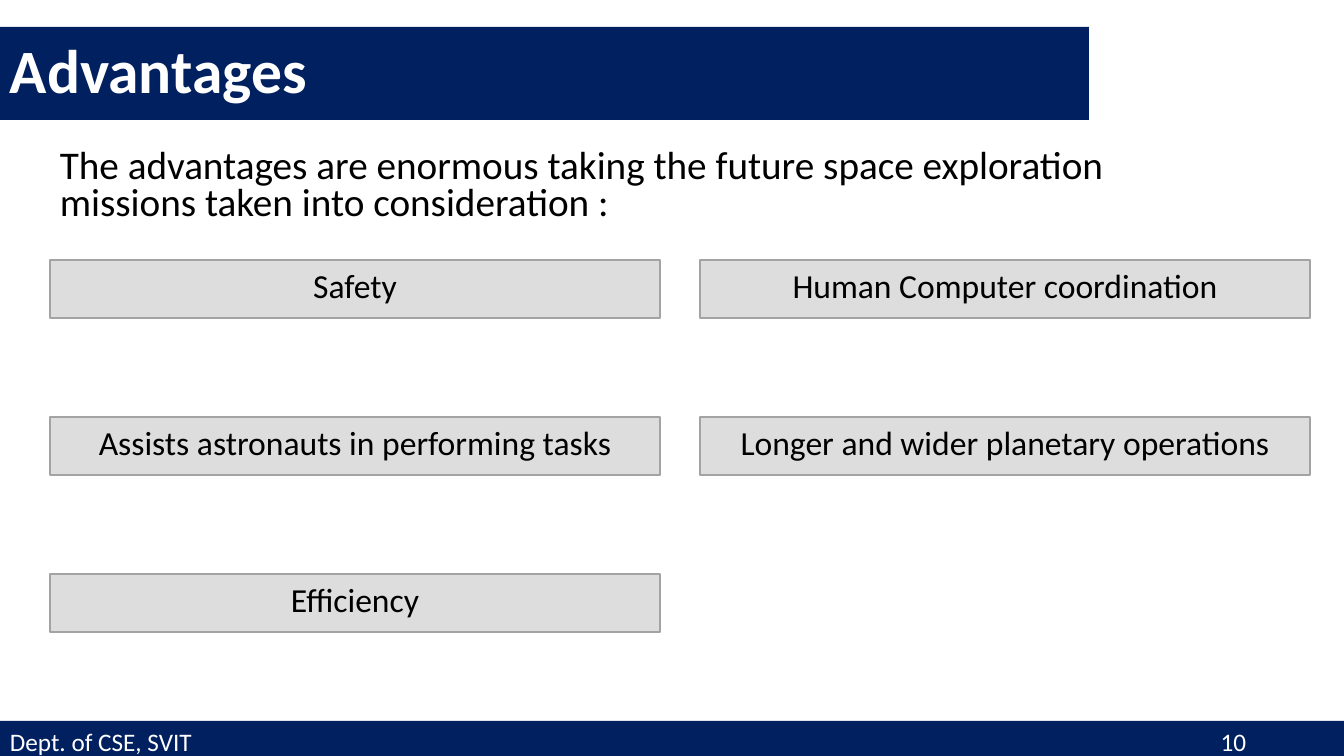
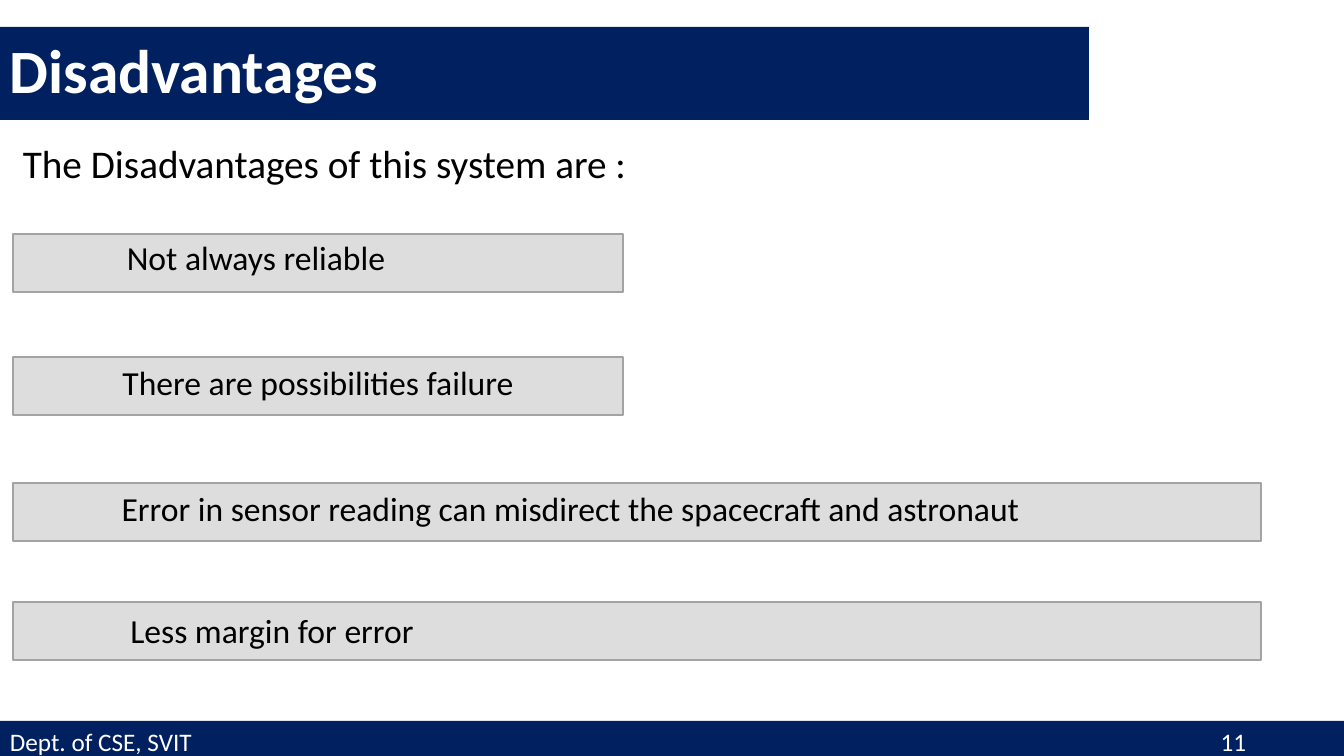
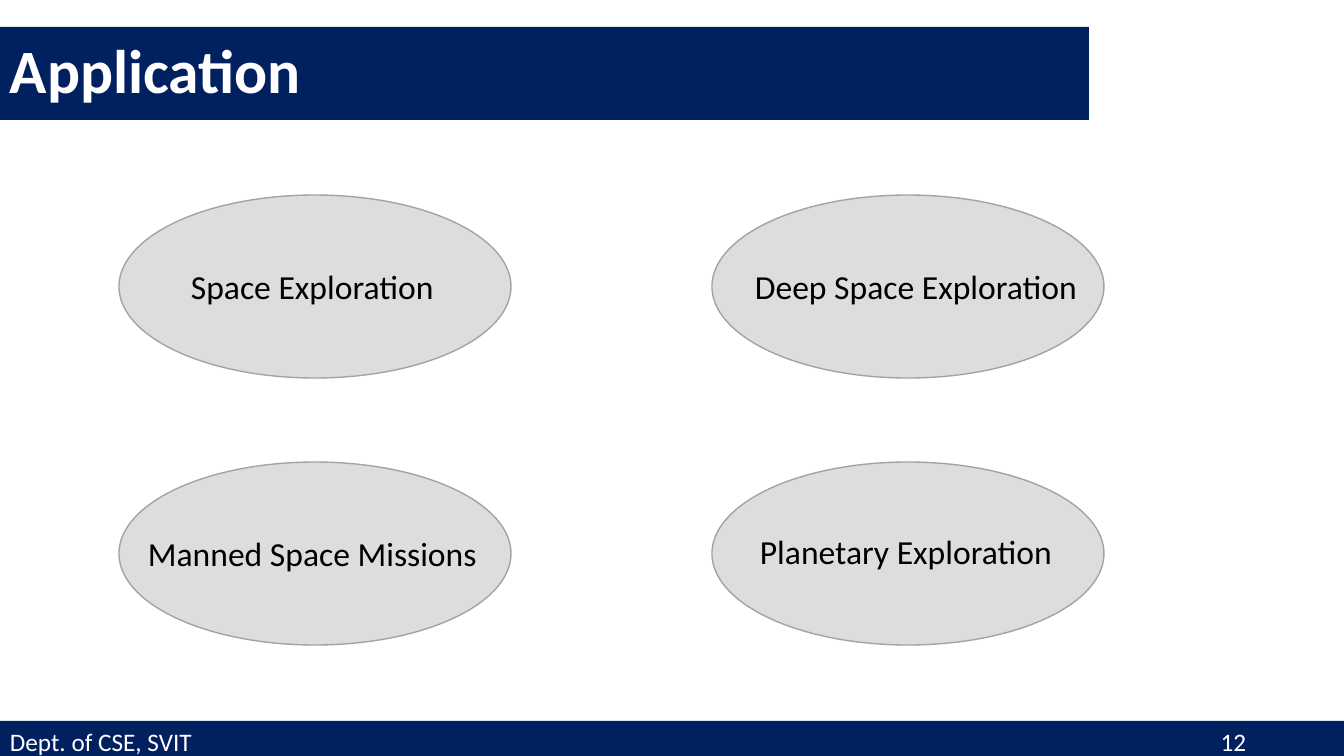
"""Builds three slides on the advantages, disadvantages and application of a space system."""
import pptx
import pptx.util
import pptx.dml.color
import pptx.enum.shapes
import pptx.enum.text

PX = 12192000 / 1344
HUES = {"navy": "002060", "grey": "DDDDDD", "edge": "A3A3A3", "white": "FFFFFF", "black": "000000"}
FONT = "Calibri"
FORM = pptx.enum.shapes.MSO_SHAPE
SIDE = pptx.enum.text.PP_ALIGN
MID = pptx.enum.text.MSO_ANCHOR.MIDDLE
TOP = pptx.enum.text.MSO_ANCHOR.TOP


def draw(slide, form, area, fill, edge=None):
    shape = slide.shapes.add_shape(form, *[round(n * PX) for n in area])
    shape.shadow.inherit = False
    shape.fill.solid()
    shape.fill.fore_color.rgb = pptx.dml.color.RGBColor.from_string(HUES[fill])
    if edge:
        shape.line.color.rgb = pptx.dml.color.RGBColor.from_string(HUES[edge])
        shape.line.width = pptx.util.Pt(1)
    else:
        shape.line.fill.background()
    return shape


def write(slide, area, text, size=24, hue="black", align=SIDE.LEFT, space=1.0, bold=False, anchor=TOP, shape=None):
    if shape is None:
        shape = slide.shapes.add_textbox(*[round(n * PX) for n in area])
    frame = shape.text_frame
    frame.word_wrap = True
    frame.vertical_anchor = anchor
    para = frame.paragraphs[0]
    para.text = text
    para.alignment = align
    para.line_spacing = space
    para.font.name = FONT
    para.font.size = pptx.util.Pt(size)
    para.font.bold = bold
    para.font.color.rgb = pptx.dml.color.RGBColor.from_string(HUES[hue])


deck = pptx.Presentation()
deck.slide_width = round(1344 * PX)
deck.slide_height = round(756 * PX)

pages = []
for page, title in enumerate(["Advantages", "Disadvantages", "Application"], 10):
    slide = deck.slides.add_slide(deck.slide_layouts[6])
    band = draw(slide, FORM.RECTANGLE, (0, 27, 1089, 93), "navy")
    write(slide, None, title, 44, "white", space=0.9, bold=True, anchor=MID, shape=band)
    foot = draw(slide, FORM.RECTANGLE, (0, 721, 1344, 40), "navy")
    write(slide, None, "Dept. of CSE, SVIT", 18, "white", shape=foot)
    write(slide, (1156, 721, 100, 40), str(page), 18, "white", SIDE.RIGHT)
    pages.append(slide)
pros, cons, uses = pages

write(pros, (50, 144, 1175, 93),
      "The advantages are enormous taking the future space exploration missions taken into consideration :",
      28, space=0.8)
gains = ["Safety", "Human Computer coordination", "Assists astronauts in performing tasks",
         "Longer and wider planetary operations", "Efficiency"]
for i, text in enumerate(gains):
    row, col = divmod(i, 2)
    bar = draw(pros, FORM.RECTANGLE, (50 + 650 * col, 260 + 157 * row, 610, 58), "grey", "edge")
    write(pros, None, text, align=SIDE.CENTER, shape=bar)

write(cons, (13, 140, 1272, 88), "The Disadvantages of this system are :", 28, space=0.9)
risks = [
    (234, 610, (61, 236, 390, 46), 0.9, "Not always reliable"),
    (357, 610, (13, 357, 610, 50), 1.0, "There are possibilities failure"),
    (483, 1248, (61, 483, 1019, 50), 1.0, "Error in sensor reading can misdirect the spacecraft and astronaut"),
    (602, 1248, (0, 605, 544, 50), 1.0, "Less margin for error"),
]
for top, wide, area, space, text in risks:
    draw(cons, FORM.RECTANGLE, (13, top, wide, 58), "grey", "edge")
    write(cons, area, text, align=SIDE.CENTER, space=space)

goals = [
    ((181, 261, 315, 50), "Space Exploration"),
    ((745, 261, 361, 50), "Deep Space Exploration"),
    ((138, 528, 358, 50), "Manned Space Missions"),
    ((750, 526, 315, 50), "Planetary Exploration"),
]
for i, (area, text) in enumerate(goals):
    row, col = divmod(i, 2)
    draw(uses, FORM.OVAL, (119 + 593 * col, 195 + 267 * row, 392, 183), "grey", "edge")
    write(uses, area, text)

deck.save("out.pptx")
